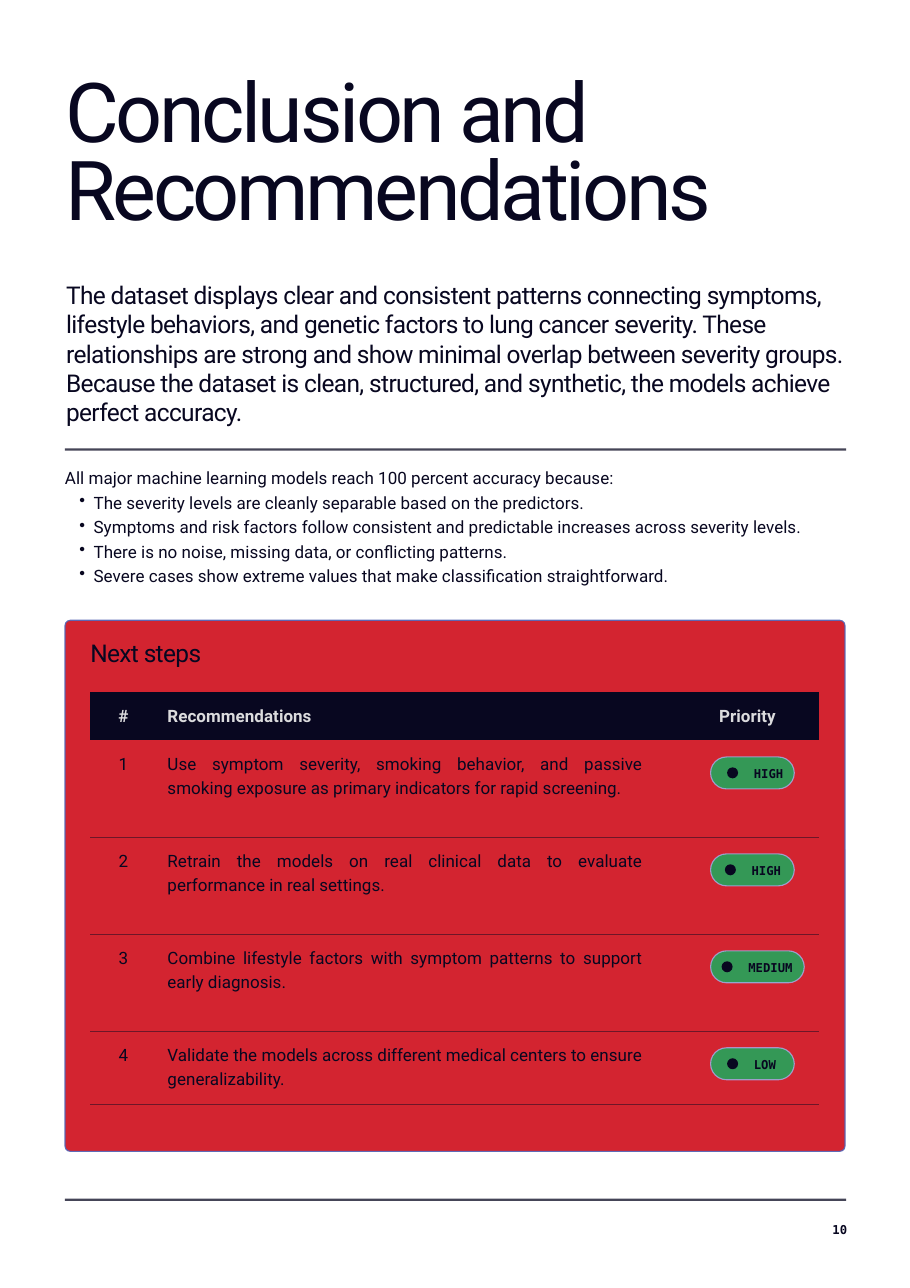
from dataclasses import dataclass

from lxml import etree
from pptx import Presentation
from pptx.dml.color import RGBColor
from pptx.enum import shapes, text
from pptx.oxml import ns
from pptx.util import Inches, Pt


@dataclass(frozen=True)
class Theme:
    ink: str = "080720"
    header_text: str = "DBDBDD"
    panel: str = "D0121F"
    panel_line: str = "5566B8"
    badge: str = "00BF63"
    badge_line: str = "AFB0F6"
    row_line: str = "6E1628"
    font: str = "Roboto"
    mono: str = "DejaVu Sans Mono"
    title: float = 54
    lead: float = 16
    body: float = 11.1
    small: float = 8


T = Theme()
LEFT, WIDTH = 0.59, 7.09
TABLE_LEFT, TABLE_TOP = 0.82, 6.28
COLUMNS = [0.6, 4.72, 1.29]
ROWS = [0.44, 0.88, 0.88, 0.88, 0.67]
ALIGN = text.PP_ALIGN

LEAD = (
    "The dataset displays clear and consistent patterns connecting symptoms, "
    "lifestyle behaviors, and genetic factors to lung cancer severity. These "
    "relationships are strong and show minimal overlap between severity groups. "
    "Because the dataset is clean, structured, and synthetic, the models achieve "
    "perfect accuracy."
)
REASONS_INTRO = "All major machine learning models reach 100 percent accuracy because:"
REASONS = [
    "The severity levels are cleanly separable based on the predictors.",
    "Symptoms and risk factors follow consistent and predictable increases across severity levels.",
    "There is no noise, missing data, or conflicting patterns.",
    "Severe cases show extreme values that make classification straightforward.",
]
# Recommendation, priority, badge width, left edge of the badge's dot
STEPS = [
    ("Use symptom severity, smoking behavior, and passive smoking exposure "
     "as primary indicators for rapid screening.", "HIGH", 0.76, 6.6),
    ("Retrain the models on real clinical data to evaluate performance "
     "in real settings.", "HIGH", 0.76, 6.58),
    ("Combine lifestyle factors with symptom patterns to support early diagnosis.",
     "MEDIUM", 0.85, 6.55),
    ("Validate the models across different medical centers to ensure generalizability.",
     "LOW", 0.76, 6.6),
]


def rgb(value):
    return RGBColor.from_string(value)


def set_alpha(s, percent):
    """Apply one opacity to every colour the shape has so far."""
    for color in s._element.iter(ns.qn("a:srgbClr")):
        etree.SubElement(color, ns.qn("a:alpha"), val=str(percent * 1000))


def set_margins(box, left=0, top=0, right=0, bottom=0):
    box.margin_left, box.margin_top = Inches(left), Inches(top)
    box.margin_right, box.margin_bottom = Inches(right), Inches(bottom)


def write(p, words, size, leading, color=T.ink, font=T.font, bold=False,
          align=ALIGN.LEFT, tracking=0):
    p.alignment = align
    p.line_spacing = Pt(leading)
    r = p.add_run()
    r.text = words
    r.font.name, r.font.size, r.font.bold = font, Pt(size), bold
    r.font.color.rgb = rgb(color)
    if tracking:
        r._r.get_or_add_rPr().set("spc", str(round(tracking * 100)))


def add_text_frame(slide, left, top, width, height):
    box = slide.shapes.add_textbox(Inches(left), Inches(top), Inches(width), Inches(height))
    tf = box.text_frame
    tf.word_wrap = True
    set_margins(tf)
    return tf


def add_text(slide, at, words, size, leading, **style):
    write(add_text_frame(slide, *at).paragraphs[0], words, size, leading, **style)


def add_rule(slide, y):
    line = slide.shapes.add_connector(
        shapes.MSO_CONNECTOR.STRAIGHT,
        Inches(LEFT), Inches(y), Inches(LEFT + WIDTH), Inches(y))
    line.line.color.rgb = rgb(T.ink)
    line.line.width = Pt(1.5)
    set_alpha(line, 75)
    etree.SubElement(line._element.spPr, ns.qn("a:effectLst"))


def add_shape(slide, kind, at, fill, outline=None, alpha=100):
    s = slide.shapes.add_shape(kind, *map(Inches, at))
    s.shadow.inherit = False
    s.fill.solid()
    s.fill.fore_color.rgb = rgb(fill)
    if outline:
        s.line.color.rgb = rgb(outline)
        s.line.width = Pt(0.75)
    else:
        s.line.fill.background()
    if alpha < 100:
        set_alpha(s, alpha)
    return s


def add_reasons(slide):
    tf = add_text_frame(slide, LEFT, 4.21, 6.84, 1.31)
    write(tf.paragraphs[0], REASONS_INTRO, T.body, 16, align=ALIGN.JUSTIFY)
    for reason in REASONS:
        p = tf.add_paragraph()
        p.level = 1
        pPr = p._p.get_or_add_pPr()
        pPr.set("marL", str(Inches(0.26)))
        pPr.set("indent", str(Inches(-0.13)))
        etree.SubElement(pPr, ns.qn("a:buChar"), char="•")
        write(p, reason, T.body, 16, align=ALIGN.JUSTIFY)


def underline_cell(cell):
    border = etree.Element(ns.qn("a:lnB"), w=str(Pt(0.75)))
    fill = etree.SubElement(border, ns.qn("a:solidFill"))
    etree.SubElement(fill, ns.qn("a:srgbClr"), val=T.row_line)
    cell._tc.get_or_add_tcPr().insert(0, border)


def add_steps_table(slide):
    frame = slide.shapes.add_table(
        len(ROWS), len(COLUMNS), Inches(TABLE_LEFT), Inches(TABLE_TOP),
        Inches(sum(COLUMNS)), Inches(sum(ROWS)))
    table = frame.table
    table.first_row = table.horz_banding = False
    no_grid = "{2D5ABB26-0587-4C30-8999-92F81FD0307C}"
    table._tbl.tblPr.find(ns.qn("a:tableStyleId")).text = no_grid
    for column, width in zip(table.columns, COLUMNS):
        column.width = Inches(width)
    for row, height in zip(table.rows, ROWS):
        row.height = Inches(height)

    content = [("#", "Recommendations", "Priority")]
    content += [(str(n), step[0], "") for n, step in enumerate(STEPS, 1)]
    aligns = [ALIGN.CENTER, ALIGN.JUSTIFY, ALIGN.CENTER]
    for i, row in enumerate(content):
        header = i == 0
        for j, words in enumerate(row):
            cell = table.cell(i, j)
            set_margins(cell, top=0.09)
            if j == 1:
                set_margins(cell, left=0.1, top=0.09, right=0.31)
            if header:
                cell.fill.solid()
                cell.fill.fore_color.rgb = rgb(T.ink)
            else:
                cell.fill.background()
                underline_cell(cell)
            if words:
                write(cell.text_frame.paragraphs[0], words, T.body, 16, bold=header,
                      color=T.header_text if header else T.ink, align=aligns[j])


def add_badge(slide, top, label, width, dot_left):
    left, height, dot = 6.45, 0.29, 0.1
    s = add_shape(slide, shapes.MSO_SHAPE.ROUNDED_RECTANGLE, (left, top, width, height),
                  T.badge, T.badge_line, 75)
    s.adjustments[0] = 0.5
    tf = s.text_frame
    tf.word_wrap = False
    tf.vertical_anchor = text.MSO_ANCHOR.MIDDLE
    set_margins(tf, left=dot_left + 0.2 - left)
    write(tf.paragraphs[0], label, T.small, 10.8, font=T.mono, bold=True)
    add_shape(slide, shapes.MSO_SHAPE.OVAL,
              (dot_left, top + (height - dot) / 2, dot, dot), T.ink)


def add_next_steps(slide):
    panel = add_shape(slide, shapes.MSO_SHAPE.ROUNDED_RECTANGLE, (LEFT, 5.63, 7.08, 4.82),
                      T.panel, T.panel_line, 92)
    panel.adjustments[0] = 0.01
    add_text(slide, (TABLE_LEFT, 5.79, 6.61, 0.27), "Next steps", T.lead, 19.2, tracking=-0.4)
    add_steps_table(slide)
    for i, (_, label, width, dot_left) in enumerate(STEPS, 1):
        row_top = TABLE_TOP + sum(ROWS[:i])
        add_badge(slide, row_top + 0.15, label, width, dot_left)


def main():
    prs = Presentation()
    prs.slide_width, prs.slide_height = Inches(8.26), Inches(11.69)
    slide = prs.slides.add_slide(prs.slide_layouts[6])
    add_text(slide, (LEFT, 0.73, WIDTH, 1.47), "Conclusion and Recommendations",
             T.title, 51.3, tracking=-2.2)
    add_text(slide, (0.6, 2.54, 7.08, 1.31), LEAD, T.lead, 19.2, tracking=-0.4)
    add_rule(slide, 4.08)
    add_reasons(slide)
    add_next_steps(slide)
    add_rule(slide, 10.89)
    add_text(slide, (5.88, 11.08, 1.81, 0.15), "10", T.small, 10.8,
             font=T.mono, bold=True, align=ALIGN.RIGHT)
    prs.save("out.pptx")


if __name__ == "__main__":
    main()
